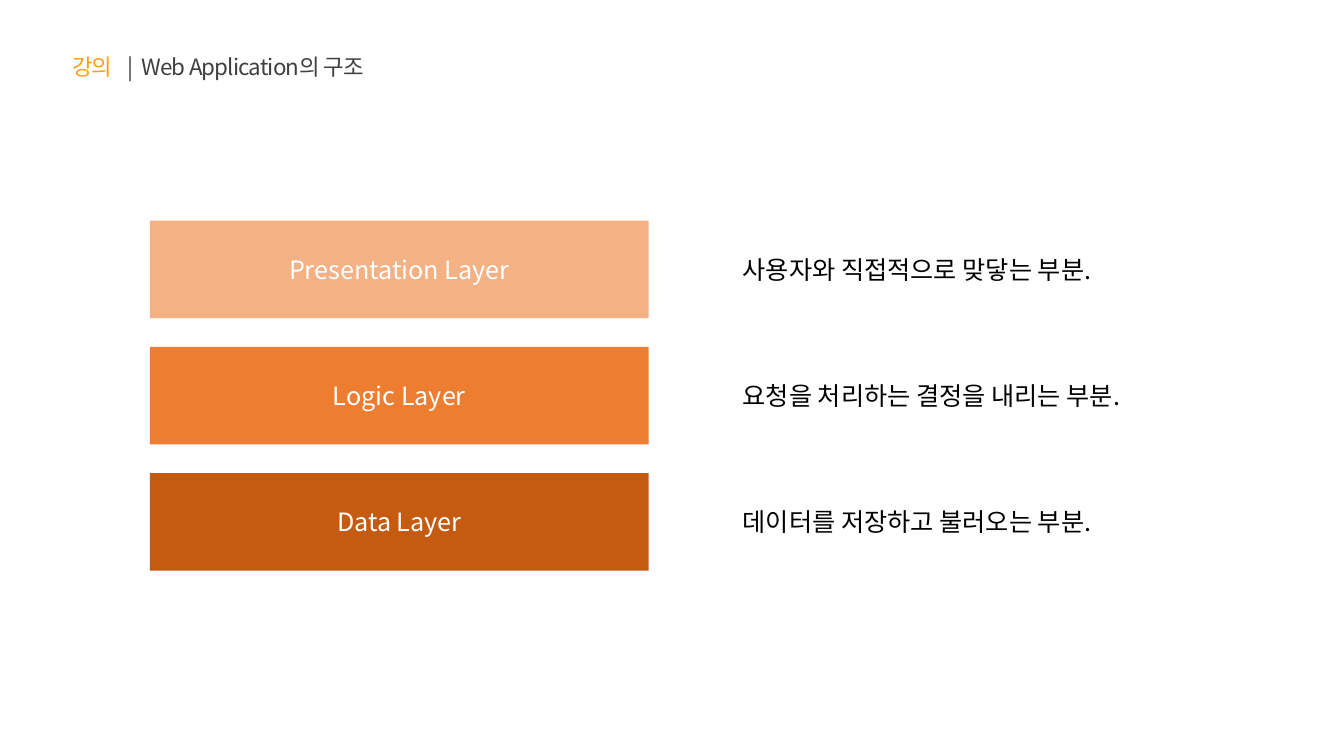
"""Build a slide on the three layers of a web application."""
from lxml import etree
from pptx import Presentation, util as u
from pptx.dml.color import RGBColor
from pptx.enum import shapes, text
from pptx.oxml.ns import qn

FONT = "Noto Sans CJK KR"
TITLE = [("강의", "FF9E1B"), ("\t|\tWeb Application의 구조", "404040")]
TITLE_AREA = (1.57, 1.22, 13.08, 0.94)
TITLE_TABS = (1.39, 1.75)
LAYERS = [
    ("Presentation Layer", "F4B183", "사용자와 직접적으로 맞닿는 부분.", 10.31),
    ("Logic Layer", "ED7D31", "요청을 처리하는 결정을 내리는 부분.", 11.18),
    ("Data Layer", "C55A11", "데이터를 저장하고 불러오는 부분.", 10.31),
]
BAR_LEFT, BAR_TOP, BAR_WIDTH, BAR_HEIGHT, BAR_STEP = 3.78, 5.56, 12.57, 2.46, 3.18
NOTE_LEFT, NOTE_HEIGHT = 18.47, 1.02


def color(value):
    return RGBColor.from_string(value)


def lengths(area):
    return [u.Cm(value) for value in area]


def add_span(para, words, size, shade):
    span = para.add_run()
    span.text = words
    for name, value in {"name": FONT, "size": u.Pt(size)}.items():
        setattr(span.font, name, value)
    span.font.color.rgb = color(shade)
    etree.SubElement(span.font._element, qn("a:ea"), typeface=FONT)
    return span


def add_text(page, area, wrap):
    box = page.shapes.add_textbox(*lengths(area))
    frame = box.text_frame
    settings = {"word_wrap": wrap, "auto_size": text.MSO_AUTO_SIZE.SHAPE_TO_FIT_TEXT}
    for name, value in settings.items():
        setattr(frame, name, value)
    return frame.paragraphs[0]


def add_title(page):
    para = add_text(page, TITLE_AREA, True)
    stops = etree.SubElement(para._p.get_or_add_pPr(), qn("a:tabLst"))
    for stop in TITLE_TABS:
        etree.SubElement(stops, qn("a:tab"), pos=str(u.Cm(stop)), algn="l")
    for words, shade in TITLE:
        span = add_span(para, words, 16, shade)
        span.font._element.set("spc", "-60")


def add_bar(page, area, label, shade):
    bar = page.shapes.add_shape(shapes.MSO_SHAPE.RECTANGLE, *lengths(area))
    bar.shadow.inherit = False
    bar.fill.solid()
    bar.fill.fore_color.rgb = color(shade)
    bar.line.fill.background()
    bar.text_frame.vertical_anchor = text.MSO_ANCHOR.MIDDLE
    para = bar.text_frame.paragraphs[0]
    para.alignment = text.PP_ALIGN.CENTER
    add_span(para, label, 18, "FFFFFF")


def main():
    deck = Presentation()
    deck.slide_width, deck.slide_height = u.Cm(33.87), u.Cm(19.05)
    page = deck.slides.add_slide(deck.slide_layouts[6])
    add_title(page)
    for row, (label, shade, note, note_width) in enumerate(LAYERS):
        top = BAR_TOP + row * BAR_STEP
        add_bar(page, (BAR_LEFT, top, BAR_WIDTH, BAR_HEIGHT), label, shade)
        note_top = top + (BAR_HEIGHT - NOTE_HEIGHT) / 2
        para = add_text(page, (NOTE_LEFT, note_top, note_width, NOTE_HEIGHT), False)
        add_span(para, note, 18, "000000")
    deck.save("out.pptx")


if __name__ == "__main__":
    main()
